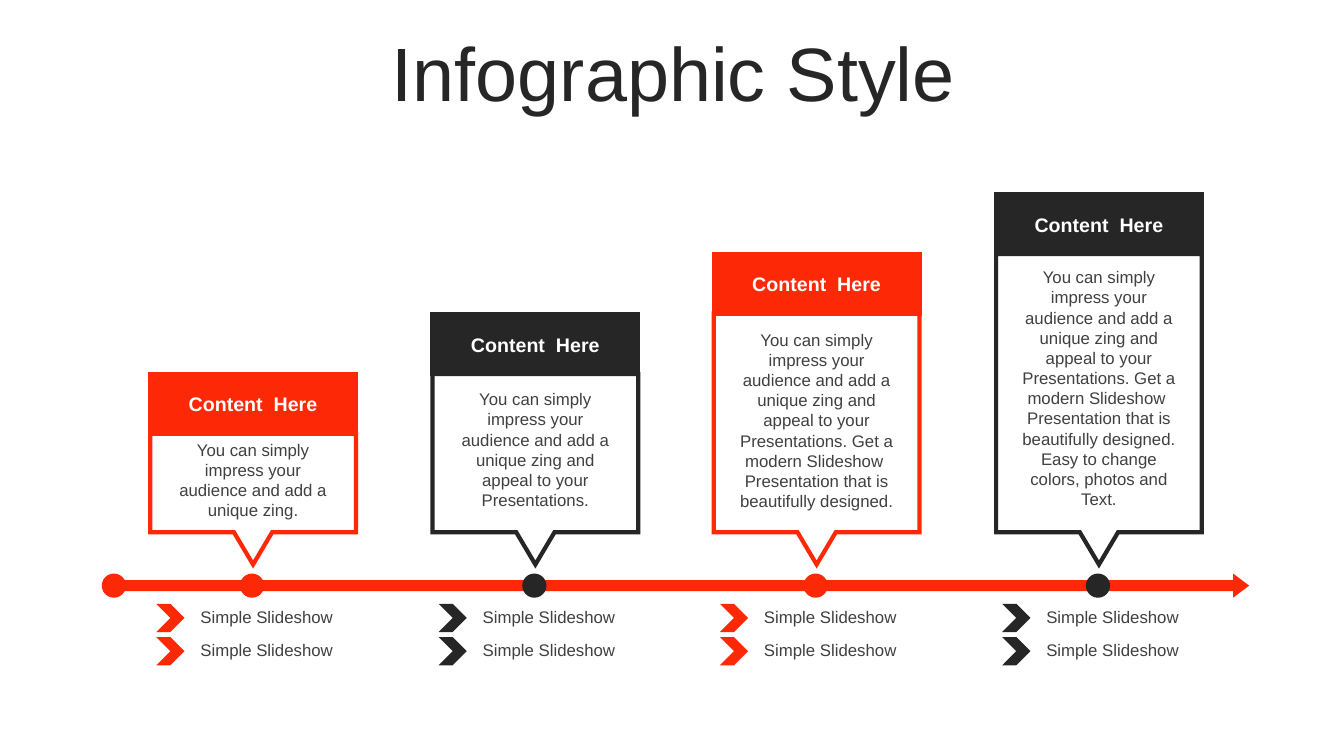
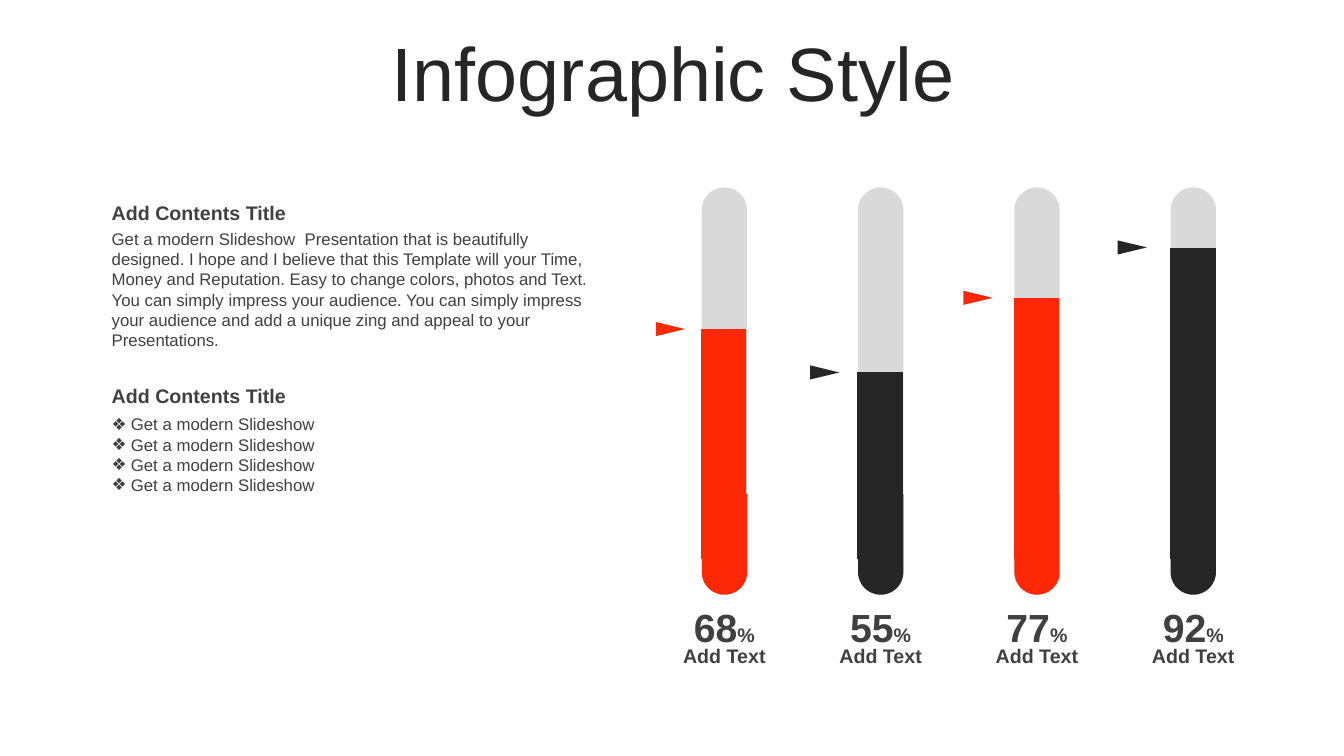
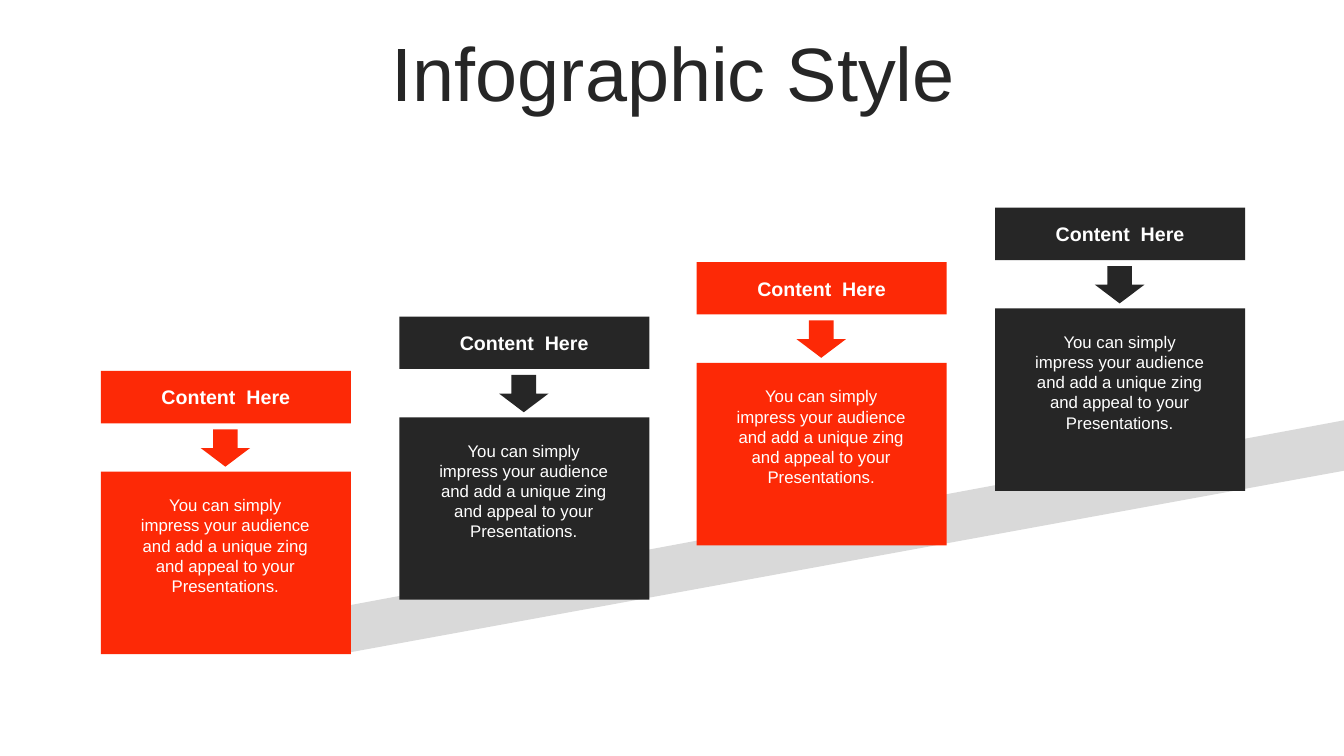
from dataclasses import dataclass

from lxml import etree
from pptx import Presentation
from pptx import util as u
from pptx.chart import data as chart_data
from pptx.dml import color
from pptx.enum import chart as chart_enum
from pptx.enum import shapes, text
from pptx.oxml import ns

PX = 9144  # EMU in one px: 100 px to the inch
COLUMNS = 4


@dataclass(frozen=True)
class Theme:
    font: str = "Arial"
    red: str = "FD2906"
    dark: str = "262626"
    body: str = "404040"
    track: str = "D9D9D9"
    white: str = "FFFFFF"
    title_size: int = 54
    figure_size: int = 28
    chart_size: int = 18
    heading_size: int = 14
    body_size: int = 12
    outline: int = 3

    def accent(self, index):
        return self.dark if index % 2 else self.red


THEME = Theme()
SHAPE = shapes.MSO_SHAPE
CENTER = text.PP_ALIGN.CENTER
LEFT = text.PP_ALIGN.LEFT
MIDDLE = text.MSO_ANCHOR.MIDDLE
TOP = text.MSO_ANCHOR.TOP

# Run styles: size, bold, colour
TITLE = (THEME.title_size, False, THEME.dark)
FIGURE = (THEME.figure_size, True, THEME.body)
HEADING = (THEME.heading_size, True, THEME.body)
BODY = (THEME.body_size, False, THEME.body)
CARD_HEADING = (THEME.heading_size, True, THEME.white)
CARD_BODY = (THEME.body_size, False, THEME.white)

# Wording
HEADER = "Content  Here"
IMPRESS = "You can simply impress your audience and add a unique zing"
APPEAL = IMPRESS + " and appeal to your Presentations."
MODERN = "Get a modern Slideshow  Presentation that is beautifully designed."
EASY = "Easy to change colors, photos and Text."


# Helpers
def px(value):
    return u.Emu(round(value * PX))


def rgb(value):
    return color.RGBColor.from_string(value)


def spread(first, last, count=COLUMNS):
    """Whole px positions at equal steps from first to last."""
    return [round(first + (last - first) * i / (count - 1)) for i in range(count)]


def apply(target, values):
    for name, value in values.items():
        setattr(target, name, value)


def add_bullet(paragraph, character, indent):
    properties = paragraph._p.get_or_add_pPr()
    properties.set("marL", str(px(indent)))
    properties.set("indent", str(-px(indent)))
    etree.SubElement(properties, ns.qn("a:buFont")).set("typeface", THEME.font)
    etree.SubElement(properties, ns.qn("a:buChar")).set("char", character)


def write(shape, paragraphs, align=CENTER, anchor=TOP, bullet=None, **frame_values):
    """Fill a shape with paragraphs, each a list of (text, style) runs."""
    frame = shape.text_frame
    apply(frame, {"word_wrap": True, "vertical_anchor": anchor, **frame_values})
    for index, runs in enumerate(paragraphs):
        paragraph = frame.add_paragraph() if index else frame.paragraphs[0]
        if bullet:
            add_bullet(paragraph, bullet, 19)
        paragraph.alignment = align
        for content, (size, bold, tint) in runs:
            run = paragraph.add_run()
            run.text = content
            apply(run.font, {"name": THEME.font, "size": u.Pt(size), "bold": bold})
            run.font.color.rgb = rgb(tint)
    return shape


def add_text(slide, box, content, style, **options):
    shape = slide.shapes.add_textbox(*map(px, box))
    return write(shape, [[(content, style)]], **options)


def paint(shape, fill=None, outline=None):
    shape.shadow.inherit = False
    if fill:
        shape.fill.solid()
        shape.fill.fore_color.rgb = rgb(fill)
    else:
        shape.fill.background()
    if outline:
        shape.line.color.rgb = rgb(outline)
        shape.line.width = u.Pt(THEME.outline)
        line = shape.line._get_or_add_ln()
        etree.SubElement(line, ns.qn("a:miter")).set("lim", "800000")
    else:
        shape.line.fill.background()
    return shape


def add_shape(slide, kind, box, fill, outline=None, adjust=(), rotation=0):
    shape = slide.shapes.add_shape(kind, *map(px, box))
    for index, value in enumerate(adjust):
        shape.adjustments[index] = value
    shape.rotation = rotation
    return paint(shape, fill, outline)


def add_outline(slide, points, fill=None, outline=None):
    builder = slide.shapes.build_freeform(*points[0], scale=PX)
    builder.add_line_segments(points[1:], close=True)
    return paint(builder.convert_to_shape(), fill, outline)


def add_slide(presentation):
    slide = presentation.slides.add_slide(presentation.slide_layouts[6])
    title = add_text(slide, (35, 37, 1266, 79), "Infographic Style", TITLE, anchor=MIDDLE)
    title.text_frame.paragraphs[0].line_spacing = 0.9
    return slide


# Slide 1: timeline of callouts
def add_callout(slide, left, top, tint, text_top, content):
    width, header_height, bottom, tip = 204, 59, 528, 560
    center, right, body_top = left + width // 2, left + width, top + header_height
    header = add_shape(slide, SHAPE.RECTANGLE, (left, top, width, header_height), tint, tint)
    write(header, [[(HEADER, CARD_HEADING)]], anchor=MIDDLE)
    add_outline(slide, [(left, body_top), (right, body_top), (right, bottom),
                        (center + 19, bottom), (center, tip), (center - 19, bottom),
                        (left, bottom)], outline=tint)
    add_text(slide, (left + 15, text_top, 174, bottom - text_top), content, BODY)


def add_dot(slide, left, tint):
    add_shape(slide, SHAPE.OVAL, (left, 569, 24, 24), tint)


def build_timeline(presentation):
    slide = add_slide(presentation)
    longer = f"{APPEAL} {MODERN}"
    callouts = [(431, IMPRESS + "."), (381, APPEAL), (322, longer), (260, f"{longer} {EASY}")]
    add_shape(slide, SHAPE.RIGHT_ARROW, (121, 569, 1118, 24), THEME.red, adjust=(0.451, 0.666))
    add_dot(slide, 101, THEME.red)
    columns = zip(spread(149, 988), spread(371, 193), callouts)
    for index, (left, top, callout) in enumerate(columns):
        tint = THEME.accent(index)
        add_callout(slide, left, top, tint, *callout)
        add_dot(slide, left + 89, tint)
        for row_top in (599, 632):
            add_shape(slide, SHAPE.CHEVRON, (left + 6, row_top, 28, 28), tint)
            add_text(slide, (left + 33, row_top - 2, 165, 30), "Simple Slideshow", BODY)


# Slide 2: tubes filled by a column chart
def add_levels(slide, values, maximum):
    source = chart_data.CategoryChartData()
    source.categories = [str(i + 1) for i in range(len(values))]
    source.add_series("Series 1", values)
    chart = slide.shapes.add_chart(chart_enum.XL_CHART_TYPE.COLUMN_STACKED,
                                   *map(px, (617, 191, 653, 368)), source).chart
    apply(chart, {"has_legend": False, "has_title": False})
    apply(chart.font, {"name": THEME.font, "size": u.Pt(THEME.chart_size)})
    chart.font.color.rgb = rgb(THEME.body)
    apply(chart.value_axis, {"minimum_scale": 0, "maximum_scale": maximum,
                             "has_major_gridlines": False, "visible": False})
    chart.category_axis.visible = False
    plot = chart.plots[0]
    apply(plot, {"gap_width": 246, "overlap": 100, "vary_by_categories": False})
    for index in range(len(values)):
        fill = plot.series[0].points[index].format.fill
        fill.solid()
        fill.fore_color.rgb = rgb(THEME.accent(index))
    # Fixed inner plot area
    area = chart._chartSpace.chart.plotArea
    for old in area.findall(ns.qn("c:layout")):
        area.remove(old)
    layout = etree.Element(ns.qn("c:layout"))
    area.insert(0, layout)
    manual = etree.SubElement(layout, ns.qn("c:manualLayout"))
    settings = {"layoutTarget": "inner", "xMode": "edge", "yMode": "edge",
                "x": 0.035, "y": 0.074, "w": 0.951, "h": 0.915}
    for name, value in settings.items():
        etree.SubElement(manual, ns.qn("c:" + name)).set("val", str(value))


def build_levels(presentation):
    slide = add_slide(presentation)
    levels, percents = [74, 60, 84, 100], [68, 55, 77, 92]
    tubes = spread(696, 1161)
    for index, (left, percent) in enumerate(zip(tubes, percents)):
        add_shape(slide, SHAPE.ROUNDED_RECTANGLE, (left, 186, 45, 404), THEME.track, adjust=(0.5,))
        add_shape(slide, SHAPE.ROUND_2_SAME_RECTANGLE, (left, 490, 45, 100),
                  THEME.accent(index), adjust=(0.5, 0), rotation=180)
        figure = slide.shapes.add_textbox(*map(px, (left - 31, 594, 107, 57)))
        write(figure, [[(str(percent), FIGURE), ("%", HEADING)]])
        add_text(slide, (left - 31, 634, 107, 34), "Add Text", HEADING)

    # Text column
    for top in (194, 376):
        add_text(slide, (101, top, 500, 34), "Add Contents Title", HEADING, align=LEFT)
    story = (f"{MODERN} I hope and I believe that this Template will your Time, Money and "
             f"Reputation. {EASY} You can simply impress your audience. {APPEAL}")
    add_text(slide, (101, 222, 500, 131), story, BODY, align=LEFT)
    points = slide.shapes.add_textbox(*map(px, (101, 406, 500, 91)))
    write(points, [[("Get a modern Slideshow", BODY)]] * 4, align=LEFT, bullet="❖")

    # Chart, with a marker at the top of each column
    maximum, base, plot_height = 109, 555, 337
    add_levels(slide, levels, maximum)
    for index, (left, level) in enumerate(zip(spread(658, 1116), levels)):
        middle = base - level * plot_height / maximum
        add_shape(slide, SHAPE.ISOSCELES_TRIANGLE, (left, round(middle - 14.5), 14, 29),
                  THEME.accent(index), rotation=90)


# Slide 3: rising steps
def add_step(slide, left, top, tint):
    width = 248
    header = add_shape(slide, SHAPE.RECTANGLE, (left, top, width, 52), tint)
    write(header, [[(HEADER, CARD_HEADING)]], anchor=MIDDLE)
    add_shape(slide, SHAPE.DOWN_ARROW, (left + 99, top + 58, 49, 37), tint)
    card = add_shape(slide, SHAPE.RECTANGLE, (left, top + 100, width, 181), tint)
    write(card, [[(APPEAL, CARD_BODY)]], margin_left=px(39), margin_right=px(40),
          margin_top=px(23))


def build_steps(presentation):
    slide = add_slide(presentation)
    add_outline(slide, [(102, 646), (348, 647), (1333, 467), (1333, 417)], fill=THEME.track)
    for index, (left, top) in enumerate(zip(spread(100, 987), spread(368, 206))):
        add_step(slide, left, top, THEME.accent(index))


def main():
    presentation = Presentation()
    apply(presentation, {"slide_width": px(1333), "slide_height": px(750)})
    for build in (build_timeline, build_levels, build_steps):
        build(presentation)
    presentation.save("out.pptx")


if __name__ == "__main__":
    main()
